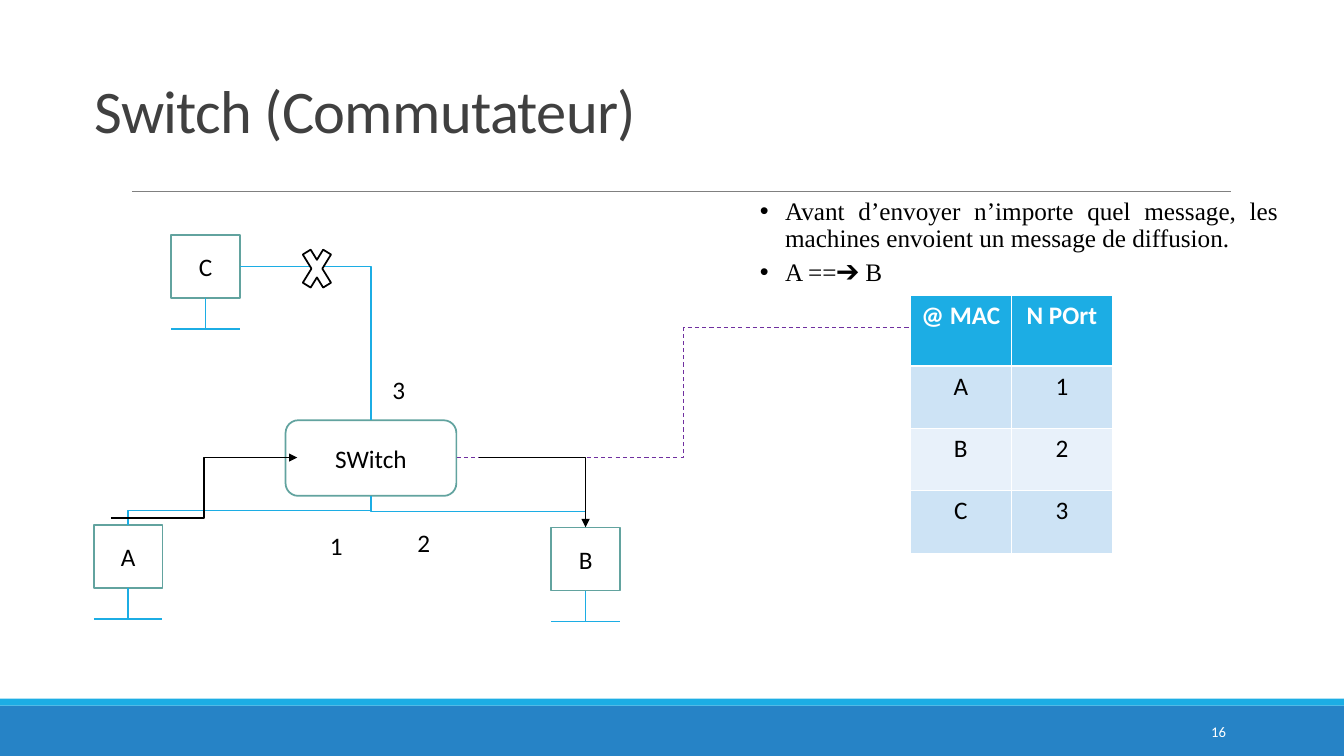
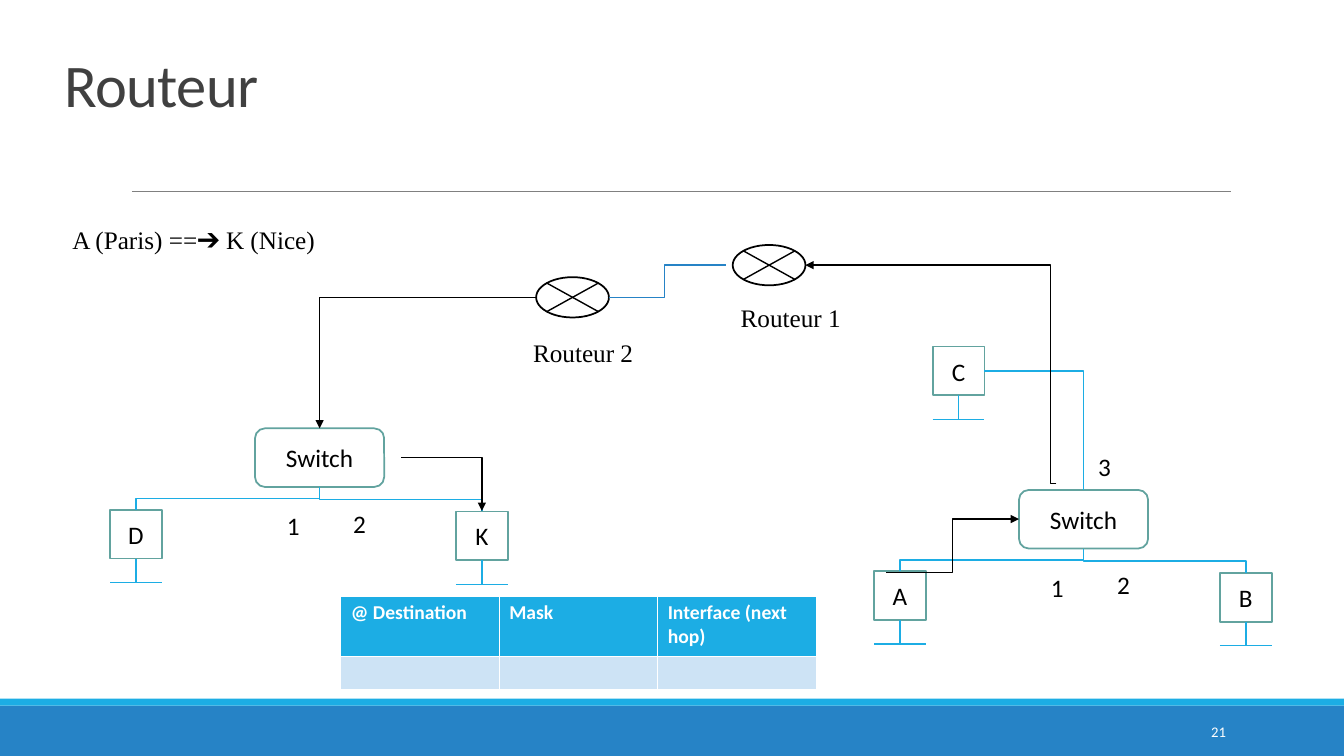
"""Build two slides on switches and routers in a local network."""
from lxml import etree
from pptx import Presentation
from pptx.dml.color import RGBColor
from pptx.enum import dml, shapes, text
from pptx.oxml.ns import qn
from pptx.util import Pt

BLACK, WHITE, GREY = "000000", "FFFFFF", "404040"
SKY, BLUE, TEAL = "1CADE4", "2683C6", "62A39F"
BAND_ROWS = ["CDE3F5", "E8F1FA"]
SERIF = "Times New Roman"
FORM, ALIGN, ANCHOR = shapes.MSO_SHAPE, text.PP_ALIGN, text.MSO_ANCHOR


def paint(fill, color):
    fill.solid()
    fill.fore_color.rgb = RGBColor.from_string(color)


def write(frame, words, size=18, font="Calibri", color=BLACK, bold=False,
          align=ALIGN.CENTER, anchor=ANCHOR.MIDDLE, leading=None, before=0,
          indent=0, hanging=0, tracking=None):
    frame.word_wrap = True
    frame.vertical_anchor = anchor
    for number, line in enumerate(words.split("\n")):
        paragraph = frame.add_paragraph() if number else frame.paragraphs[0]
        paragraph.alignment = align
        paragraph.line_spacing = leading
        paragraph.space_before = Pt(before)
        properties = paragraph._p.get_or_add_pPr()
        properties.set("marL", str(Pt(indent)))
        properties.set("indent", str(-Pt(hanging)))
        if hanging:
            etree.SubElement(properties, qn("a:buFont"), typeface="Arial")
            etree.SubElement(properties, qn("a:buChar"), char="•")
        if not line:
            etree.SubElement(paragraph._p, qn("a:endParaRPr"), sz=str(size * 100))
            continue
        run = paragraph.add_run()
        run.text = line
        run.font.size, run.font.name, run.font.bold = Pt(size), font, bold
        paint(run.font.fill, color)
        if tracking:
            run.font._element.set("spc", str(tracking))


deck = Presentation()
deck.slide_width, deck.slide_height = Pt(960), Pt(540)
boxes, links = [], []

pages = [("Switch (Commutateur)", "16", (60.5, 58.3, 828, 49.7)),
         ("Routeur", "21", (39, 51, 792, 38.2))]
for page, (heading, number, place) in enumerate(pages):
    title = deck.slides.add_slide(deck.slide_layouts[5]).shapes.title
    title.left, title.top, title.width, title.height = map(Pt, place)
    title.text_frame.auto_size = text.MSO_AUTO_SIZE.NONE
    write(title.text_frame, heading, size=43.2, color=GREY, align=ALIGN.LEFT,
          anchor=ANCHOR.BOTTOM, leading=0.85, tracking=-50)
    boxes += [(page, FORM.RECTANGLE, 0, 504, 960, 36, BLUE, None, "", 0),
              (page, FORM.RECTANGLE, 0, 499, 960, 5, SKY, None, "", 0)]
    links.append((page, "straight", 94.3, 136.8, 879, 136.8, "808080", 0.5, {}))

slots = [("rise", -198, 75, -43.2, 72.2),
         ("rise", 128.8, 76.6, 19.4, 70),
         ("corner", -142.6, -132.2, 1.4, -39.4)]
networks = [(0, 265, 300.2, 1, 1, "SWitch", "ABC"),
            (1, 774, 350, 0.756, 0.775, "Switch", "ABC"),
            (1, 228.3, 306, 0.756, 0.775, "Switch", "DK")]
for page, middle, top, wide, high, switch, machines in networks:
    boxes.append((page, FORM.ROUNDED_RECTANGLE, middle - 61 * wide, top,
                  122 * wide, 54 * high, WHITE, TEAL, switch, 0))
    for port, (machine, slot) in enumerate(zip(machines, slots), 1):
        route, dx, dy, port_dx, port_dy = slot
        x, y = middle + dx * wide, top + dy * high
        w, h = 49 * wide, 45 * high
        boxes += [(page, FORM.RECTANGLE, x, y, w, h, WHITE, TEAL, machine, 22 * high),
                  (page, FORM.RECTANGLE, middle + port_dx * wide, top + port_dy * high,
                   36.7 * wide, 34.6 * high, WHITE, WHITE, str(port), 0)]
        if route == "rise":
            ends = (x + w / 2, y, middle, top + 54 * high)
        else:
            ends = (x + w, y + h / 2, middle, top)
        links.append((page, route, *ends, SKY, 1, {}))

arrow = {"arrow": True}
links += [
    (0, "step", 79.2, 370, 212.4, 326.9, BLACK, 1, arrow),
    (0, "step", 326.2, 326.9, 650.2, 234, "7030A0", 0.75, {"dash": True}),
    (0, "corner", 342, 326.9, 418.3, 376.6, BLACK, 1, arrow),
    (1, "step", 754.6, 345.6, 575.3, 189.4, BLACK, 1, {"arrow": True, "bend": 2400}),
    (1, "corner", 383, 212.4, 228.3, 306, BLACK, 1, arrow),
    (1, "step", 632.9, 409, 727.9, 370.8, BLACK, 1, arrow),
    (1, "corner", 286.6, 326.9, 344.2, 365, BLACK, 1, arrow),
    (1, "step", 434.9, 212.4, 518.4, 189.4, BLUE, 1, {"bend": 47700}),
]
boxes.append((0, FORM.MATH_MULTIPLY, 212.4, 169.2, 28, 45.4, WHITE, BLACK, "", 0))
for x, y in [(523.4, 175), (383, 198)]:
    boxes.append((1, FORM.OVAL, x, y, 52, 28.8, WHITE, BLACK, "", 0))
    left, right, upper, lower = x + 7.6, x + 44.4, y + 4.2, y + 24.6
    links += [(1, "straight", right, upper, left, lower, BLACK, 1, {}),
              (1, "straight", left, upper, right, lower, BLACK, 1, {})]

crossings = []
for page, form, x, y, w, h, fill, outline, label, stand in boxes:
    box = deck.slides[page].shapes.add_shape(form, Pt(x), Pt(y), Pt(w), Pt(h))
    box.shadow.inherit = False
    paint(box.fill, fill)
    if outline:
        paint(box.line.fill, outline)
        box.line.width = Pt(1.25)
    else:
        box.line.fill.background()
    if label:
        write(box.text_frame, label)
    if stand:
        center, bottom, floor = x + w / 2, y + h, y + h + stand
        links += [(page, "straight", center, bottom, center, floor, SKY, 1, {"box": box}),
                  (page, "straight", x, floor, x + w, floor, SKY, 1, {})]
    if form == FORM.MATH_MULTIPLY:
        crossings.append(box)

for page, route, x1, y1, x2, y2, color, width, extras in links:
    if route == "rise":
        center_x, center_y = (x1 + x2) / 2, (y1 + y2) / 2
        turn = 1 if x2 > x1 else -1
        across, down = turn * (y1 - center_y), turn * (x1 - center_x)
        x1, y1, x2, y2 = (center_x + across, center_y - down,
                          center_x - across, center_y + down)
    kind = shapes.MSO_CONNECTOR.STRAIGHT if route == "straight" else shapes.MSO_CONNECTOR.ELBOW
    link = deck.slides[page].shapes.add_connector(kind, Pt(x1), Pt(y1), Pt(x2), Pt(y2))
    paint(link.line.fill, color)
    link.line.width = Pt(width)
    form = link.element.spPr
    geometry = form.find(qn("a:prstGeom"))
    if route == "rise":
        form.find(qn("a:xfrm")).set("rot", str(turn * 90 % 360 * 60000))
    if route == "corner":
        geometry.set("prst", "bentConnector2")
    if "bend" in extras:
        etree.SubElement(geometry.find(qn("a:avLst")), qn("a:gd"),
                         name="adj1", fmla=f"val {extras['bend']}")
    if "dash" in extras:
        link.line.dash_style = dml.MSO_LINE.DASH
    if "arrow" in extras:
        etree.SubElement(form.find(qn("a:ln")), qn("a:tailEnd"), type="triangle")
    if "box" in extras:
        link.begin_connect(extras["box"], 2)
    etree.SubElement(form, qn("a:effectLst"))

for cross in crossings:
    cross.element.getparent().append(cross.element)

label = dict(font=SERIF, align=ALIGN.JUSTIFY, anchor=ANCHOR.TOP, indent=36)
bullets = dict(label, indent=54, hanging=18, leading=0.9, before=5)
footer = dict(size=10.5, color=WHITE, align=ALIGN.RIGHT)
notes = [
    (0, 499.7, 138.2, 420.5, 324.7, "Avant d’envoyer n’importe quel message, les machines "
     "envoient un message de diffusion.\nA ==➔ B", bullets),
    (1, 8.6, 157, 234, 28.8, "A (Paris) ==➔ K (Nice)", label),
    (1, 337.7, 237.6, 128.2, 28.8, "Routeur 2", label),
    (1, 486, 212.4, 128.2, 28.8, "Routeur 1", label),
]
notes += [(page, 779.8, 508.3, 103, 28.8, number, footer)
          for page, (_, number, _) in enumerate(pages)]
for page, x, y, w, h, words, style in notes:
    note = deck.slides[page].shapes.add_textbox(Pt(x), Pt(y), Pt(w), Pt(h))
    write(note.text_frame, words, **style)

tables = [
    (0, 650.2, 211, 72.2, [50.4, 44.6, 44.6, 44.6], 18, ALIGN.CENTER,
     [("@ MAC", "N POrt"), ("A", "1"), ("B", "2"), ("C", "3")]),
    (1, 243.4, 425.8, 113.2, [43, 17.3], 14, ALIGN.LEFT,
     [("@ Destination", "Mask", "Interface (next hop)"), ("", "", "")]),
]
for page, x, y, column, heights, size, align, rows in tables:
    columns = len(rows[0])
    grid = deck.slides[page].shapes.add_table(
        len(rows), columns, Pt(x), Pt(y), Pt(column * columns), Pt(sum(heights))).table
    for r, entries in enumerate(rows):
        grid.rows[r].height = Pt(heights[r])
        for c, entry in enumerate(entries):
            cell = grid.cell(r, c)
            paint(cell.fill, BAND_ROWS[(r - 1) % 2] if r else SKY)
            write(cell.text_frame, entry, size=size, align=align, anchor=ANCHOR.TOP,
                  color=BLACK if r else WHITE, bold=r == 0)

deck.save("out.pptx")
